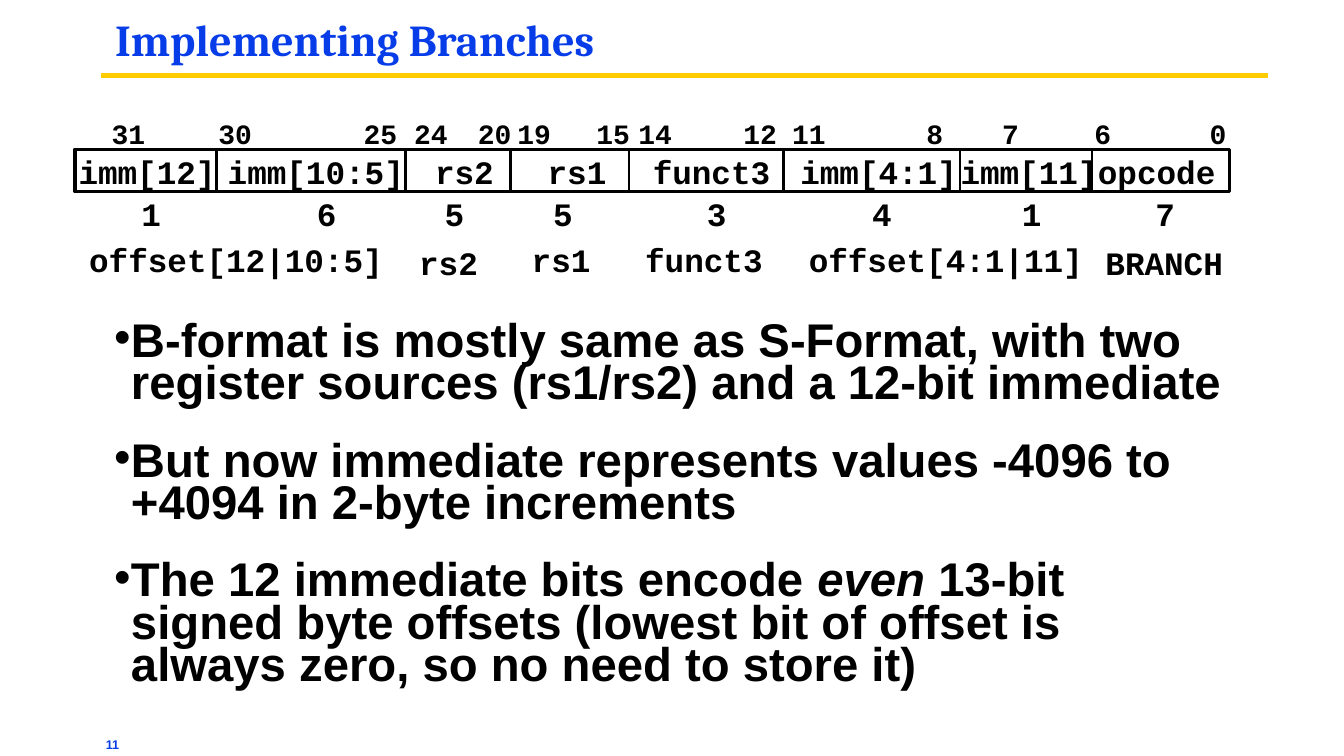
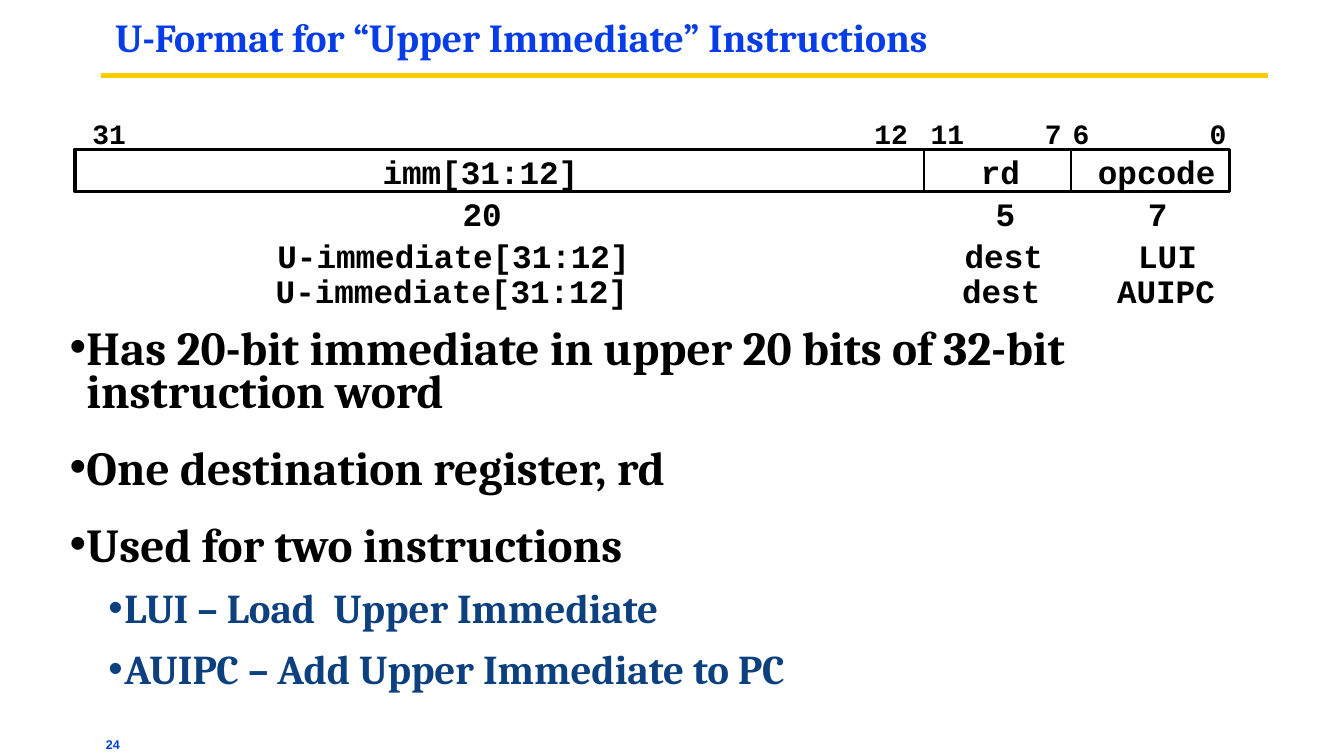
import pptx
import pptx.util
import pptx.dml.color
import pptx.enum.shapes
import pptx.enum.text
import pptx.oxml.ns
import lxml.etree

Inches, Pt = pptx.util.Inches, pptx.util.Pt
ALIGN = pptx.enum.text.PP_ALIGN

BLUE, GOLD, BLACK, NAVY = "063DE8", "FFCC00", "000000", "0D407F"
SERIF, SANS, MONO = "Cambria", "Arial", "Courier New"

# Bit table frame: left, top, width, height
FRAME = (0.89, 1.78, 13.75, 0.5)

# Bullet levels: indent, hanging, line spacing, space before, size, colour
LEVELS = [
    (0.2, -0.2, 0.75, 29.7, 40.5, BLACK),
    (0.65, -0.19, 0.85, 16.2, 35.1, NAVY),
]

# Each row: top, text size, then labels with their centres
# Each bullet: level, then runs; a run is (text, italic)
SLIDES = [
    {
        "title": "Implementing Branches", "size": 37.8, "page": "11",
        "cuts": [2.58, 4.83, 6.08, 7.49, 9.33, 11.43, 13],
        "rows": [
            (1.34, 24, [("31", 1.53), ("30", 2.8), ("25", 4.53), ("24", 5.13),
                        ("20", 5.89), ("19", 6.36), ("15", 7.3), ("14", 7.8),
                        ("12", 9.05), ("11", 9.63), ("8", 11.13),
                        ("7", 12.03), ("6", 13.13), ("0", 14.5)]),
            (1.76, 28, [("imm[12]", 1.75), ("imm[10:5]", 3.76), ("rs2", 5.53),
                        ("rs1", 6.87), ("funct3", 8.47), ("imm[4:1]", 10.46),
                        ("imm[11]", 12.25), ("opcode", 13.77)]),
            (2.26, 28, [("1", 1.8), ("6", 3.89), ("5", 5.41), ("5", 6.7),
                        ("3", 8.53), ("4", 10.5), ("1", 12.28),
                        ("7", 13.87)]),
            (2.81, 28, [("offset[12|10:5]", 2.81), ("rs1", 6.68),
                        ("funct3", 8.38), ("offset[4:1|11]", 11.26)]),
            (2.84, 28, [("rs2", 5.34), ("BRANCH", 13.86)]),
        ],
        "body": (1.33, 3.82, 13.33, 4.5), "font": SANS,
        "points": [
            (0, [("B-format is mostly same as S-Format, with two register "
                  "sources (rs1/rs2) and a 12-bit immediate", False)]),
            (0, [("But now immediate represents values -4096 to +4094 in "
                  "2-byte increments", False)]),
            (0, [("The 12 immediate bits encode ", False), ("even", True),
                 (" 13-bit signed byte offsets (lowest bit of offset is "
                  "always zero, so no need to store it)", False)]),
        ],
    },
    {
        "title": "U-Format for “Upper Immediate” Instructions",
        "size": 34, "page": "24",
        "cuts": [11, 12.75],
        "rows": [
            (1.34, 24, [("31", 1.3), ("12", 10.61), ("11", 11.28),
                        ("7", 12.54), ("6", 12.87), ("0", 14.5)]),
            (1.76, 28, [("imm[31:12]", 5.72), ("rd", 11.91),
                        ("opcode", 13.77)]),
            (2.26, 28, [("20", 5.74), ("5", 11.97), ("7", 13.78)]),
            (2.76, 28, [("U-immediate[31:12]", 5.4), ("dest", 11.95),
                        ("LUI", 13.9)]),
            (3.18, 28, [("U-immediate[31:12]", 5.38), ("dest", 11.92),
                        ("AUIPC", 13.88)]),
        ],
        "body": (0.8, 3.92, 14.4, 4.67), "font": SERIF,
        "points": [
            (0, [("Has 20-bit immediate in upper 20 bits of 32-bit "
                  "instruction word", False)]),
            (0, [("One destination register, rd", False)]),
            (0, [("Used for two instructions", False)]),
            (1, [("LUI – Load  Upper Immediate", False)]),
            (1, [("AUIPC – Add Upper Immediate to PC", False)]),
        ],
    },
]


def paint(color, code):
    color.rgb = pptx.dml.color.RGBColor.from_string(code)


def add_box(slide, place, inset=None, wrap=True):
    frame = slide.shapes.add_textbox(*map(Inches, place)).text_frame
    frame.word_wrap = wrap
    if inset is not None:
        frame.margin_left = frame.margin_right = Inches(inset)
        frame.margin_top = frame.margin_bottom = Inches(inset)
    return frame


def add_run(para, text, size, font, code, slant=False):
    run = para.add_run()
    run.text = text
    run.font.size, run.font.name = Pt(size), font
    run.font.bold, run.font.italic = True, slant
    paint(run.font.color, code)


def add_line(slide, start, end, code, width):
    line = slide.shapes.add_connector(
        pptx.enum.shapes.MSO_CONNECTOR.STRAIGHT,
        *map(Inches, (*start, *end)))
    paint(line.line.color, code)
    line.line.width = Pt(width)
    props = line.element.find(pptx.oxml.ns.qn("p:spPr"))
    lxml.etree.SubElement(props, pptx.oxml.ns.qn("a:effectLst"))


def add_base(slide, data):
    # Page number, gold rule and title
    page = add_box(slide, (1.23, 8.74, 8.69, 0.23), 0.03)
    add_run(page.paragraphs[0], data["page"], 10.8, SANS, BLUE)
    add_line(slide, (1.2, 0.9), (15.1, 0.9), GOLD, 4.5)
    title = add_box(slide, (1.34, 0.2, 12, 0.7), 0.03).paragraphs[0]
    title.line_spacing = 0.87
    add_run(title, data["title"], data["size"], SERIF, BLUE)


def add_bits(slide, data):
    # Labels, as wide as their fixed-pitch text
    for top, size, labels in data["rows"]:
        for text, mid in labels:
            wide = 0.2 + len(text) * 0.6 * size / 72
            high = 0.1 + 1.2 * size / 72
            frame = add_box(slide, (mid - wide / 2, top, wide, high),
                            wrap=False)
            frame.paragraphs[0].alignment = ALIGN.CENTER
            add_run(frame.paragraphs[0], text, size, MONO, BLACK)
    # Frame and dividers
    rect = slide.shapes.add_shape(
        pptx.enum.shapes.MSO_SHAPE.RECTANGLE, *map(Inches, FRAME))
    rect.shadow.inherit = False
    rect.fill.background()
    paint(rect.line.color, BLACK)
    rect.line.width = Pt(3)
    top, foot = FRAME[1], FRAME[1] + FRAME[3]
    for cut in data["cuts"]:
        add_line(slide, (cut, top), (cut, foot), BLACK, 2.25)


def add_points(slide, data):
    frame = add_box(slide, data["body"], 0.03)
    for i, (level, runs) in enumerate(data["points"]):
        para = frame.add_paragraph() if i else frame.paragraphs[0]
        left, hang, lead, gap, size, code = LEVELS[level]
        para.level = level
        para.line_spacing, para.space_before = lead, Pt(gap)
        props = para._p.get_or_add_pPr()
        props.set("marL", str(Inches(left)))
        props.set("indent", str(Inches(hang)))
        qn = pptx.oxml.ns.qn
        tint = lxml.etree.SubElement(props, qn("a:buClr"))
        lxml.etree.SubElement(tint, qn("a:srgbClr"), val=code)
        lxml.etree.SubElement(props, qn("a:buFont"), typeface=SANS)
        lxml.etree.SubElement(props, qn("a:buChar"), char="•")
        for text, slant in runs:
            add_run(para, text, size, data["font"], code, slant)


def main():
    deck = pptx.Presentation()
    deck.slide_width, deck.slide_height = Inches(16), Inches(9)
    for data in SLIDES:
        slide = deck.slides.add_slide(deck.slide_layouts[6])
        add_base(slide, data)
        add_points(slide, data)
        add_bits(slide, data)
    deck.save("out.pptx")


if __name__ == "__main__":
    main()
